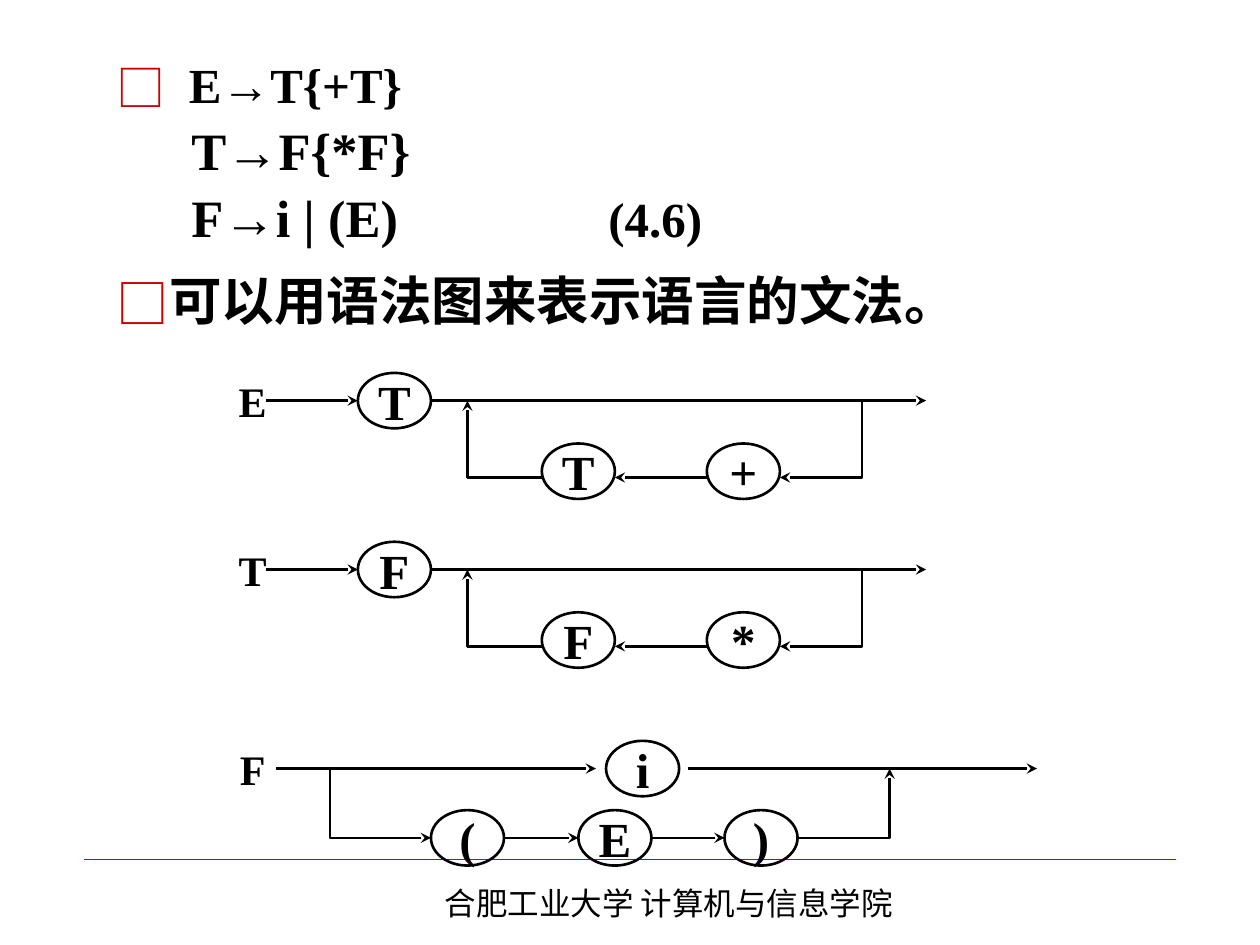
from lxml.etree import SubElement
from pptx import Presentation
from pptx.dml.color import RGBColor
from pptx.enum.shapes import MSO_CONNECTOR, MSO_SHAPE
from pptx.enum.text import MSO_ANCHOR, PP_ALIGN
from pptx.oxml.ns import qn
from pptx.util import Inches, Pt

LATIN, CHINESE = "Times New Roman", "Noto Sans CJK SC"
BLACK, RED = "000000", "CC0000"
NODE_WIDTH, NODE_HEIGHT = 0.58, 0.44


def color(value):
    return RGBColor.from_string(value)


def apply(target, values):
    for name, value in values.items():
        setattr(target, name, value)


class DiagramSlide:
    def __init__(self, slide):
        self.slide = slide
        self.shapes = slide.shapes

    def style_line(self, shape, arrow=True, line_color=BLACK, width=1.5):
        shape.line.color.rgb = color(line_color)
        shape.line.width = Pt(width)
        if arrow:
            SubElement(shape.line._get_or_add_ln(), qn("a:tailEnd"), type="stealth")

    def add_run(self, paragraph, text, size, bold=True, chinese=False):
        run = paragraph.add_run()
        run.text = text
        apply(run.font, {"size": Pt(size), "bold": bold,
                         "name": CHINESE if chinese else LATIN})
        run.font.color.rgb = color(BLACK)
        if chinese:
            SubElement(run._r.get_or_add_rPr(), qn("a:ea"), typeface=CHINESE)

    def text_box(self, left, top, width, height, wrap=True):
        box = self.shapes.add_textbox(*map(Inches, (left, top, width, height)))
        box.text_frame.word_wrap = wrap
        return box.text_frame

    def center_text(self, frame, text, size):
        apply(frame, {"word_wrap": False, "vertical_anchor": MSO_ANCHOR.MIDDLE})
        frame.paragraphs[0].alignment = PP_ALIGN.CENTER
        self.add_run(frame.paragraphs[0], text, size)

    def indent(self, paragraph, left, hanging, bullet=False):
        properties = paragraph._p.get_or_add_pPr()
        properties.set("marL", str(Inches(left)))
        properties.set("indent", str(Inches(-hanging)))
        if bullet:
            bullet_color = SubElement(properties, qn("a:buClr"))
            SubElement(bullet_color, qn("a:srgbClr"), val=RED)
            SubElement(properties, qn("a:buFont"), typeface=CHINESE)
            SubElement(properties, qn("a:buChar"), char="□")

    def label(self, text, middle):
        frame = self.text_box(1.75, middle - 0.165, 0.51, 0.33, wrap=False)
        self.center_text(frame, text, 24)

    def node(self, text, left, middle):
        shape = self.shapes.add_shape(
            MSO_SHAPE.OVAL, Inches(left), Inches(middle - NODE_HEIGHT / 2),
            Inches(NODE_WIDTH), Inches(NODE_HEIGHT))
        shape.shadow.inherit = False
        shape.fill.background()
        self.style_line(shape, arrow=False)
        self.center_text(shape.text_frame, text, 28)

    def line(self, start, end, y, **style):
        connector = self.shapes.add_connector(
            MSO_CONNECTOR.STRAIGHT, Inches(start), Inches(y), Inches(end), Inches(y))
        self.style_line(connector, **style)
        SubElement(connector._element.spPr, qn("a:effectLst"))

    def bent_arrow(self, *points):
        start, *rest = [(Inches(x), Inches(y)) for x, y in points]
        builder = self.shapes.build_freeform(*start)
        builder.add_line_segments(rest, close=False)
        shape = builder.convert_to_shape()
        shape.shadow.inherit = False
        shape.fill.background()
        self.style_line(shape)

    def repetition(self, name, operand, operator, y):
        """Syntax diagram of name → operand { operator operand }."""
        loop_y = y + 0.61
        self.label(name, y)
        self.line(2.11, 2.84, y)
        self.node(operand, 2.84, y)
        self.line(3.42, 7.35, y)
        self.node(operator, 5.61, y + 0.56)
        self.node(operand, 4.3, y + 0.56)
        self.bent_arrow((6.84, y), (6.84, loop_y), (6.19, loop_y))
        self.line(5.61, 4.88, loop_y)
        self.bent_arrow((4.3, loop_y), (3.71, loop_y), (3.71, y))

    def alternative(self, name, y):
        """Syntax diagram of name → i | (E)."""
        lower_y = y + 0.55
        self.label(name, y)
        self.line(2.19, 4.73, y)
        self.node("i", 4.81, y)
        self.line(5.46, 8.23, y)
        lefts = (3.42, 4.59, 5.75)
        for text, left in zip("(E)", lefts):
            self.node(text, left, lower_y)
        for left, following in zip(lefts, lefts[1:]):
            self.line(left + NODE_WIDTH, following, lower_y)
        self.bent_arrow((2.62, y), (2.62, lower_y), (lefts[0], lower_y))
        self.bent_arrow((6.34, lower_y), (7.06, lower_y), (7.06, y))

    def grammar(self):
        frame = self.text_box(0.83, 0.44, 8.67, 2)
        # runs, left indent, hanging indent, bullet, space before
        rows = [
            ([("E→T{+T}", 28)], 0.57, 0.57, True, 0),
            ([("T→F{*F}", 30)], 0.9, 0.31, False, 6),
            ([("F→i | (E)", 30), ("\t\t\t\t(4.6)", 28)], 0.9, 0.31, False, 6),
            ([("可以用语法图来表示语言的文法。", 30)], 0.38, 0.38, True, 15),
        ]
        for index, (runs, left, hanging, bullet, space) in enumerate(rows):
            paragraph = frame.add_paragraph() if index else frame.paragraphs[0]
            apply(paragraph, {"line_spacing": 0.9, "space_before": Pt(space)})
            self.indent(paragraph, left, hanging, bullet)
            for text, size in runs:
                self.add_run(paragraph, text, size, chinese=text.startswith("可"))

    def footer(self):
        self.line(0.67, 9.33, 6.82, arrow=False, line_color=RED, width=0.25)
        frame = self.text_box(3.43, 6.97, 4.8, 0.4)
        self.add_run(frame.paragraphs[0], "合肥工业大学 计算机与信息学院", 18,
                     bold=False, chinese=True)


def main():
    presentation = Presentation()
    apply(presentation, {"slide_width": Inches(10), "slide_height": Inches(7.5)})
    diagram = DiagramSlide(presentation.slides.add_slide(presentation.slide_layouts[6]))
    diagram.footer()
    diagram.grammar()
    diagram.repetition("E", "T", "+", 3.18)
    diagram.repetition("T", "F", "*", 4.52)
    diagram.alternative("F", 6.1)
    presentation.save("out.pptx")


if __name__ == "__main__":
    main()
